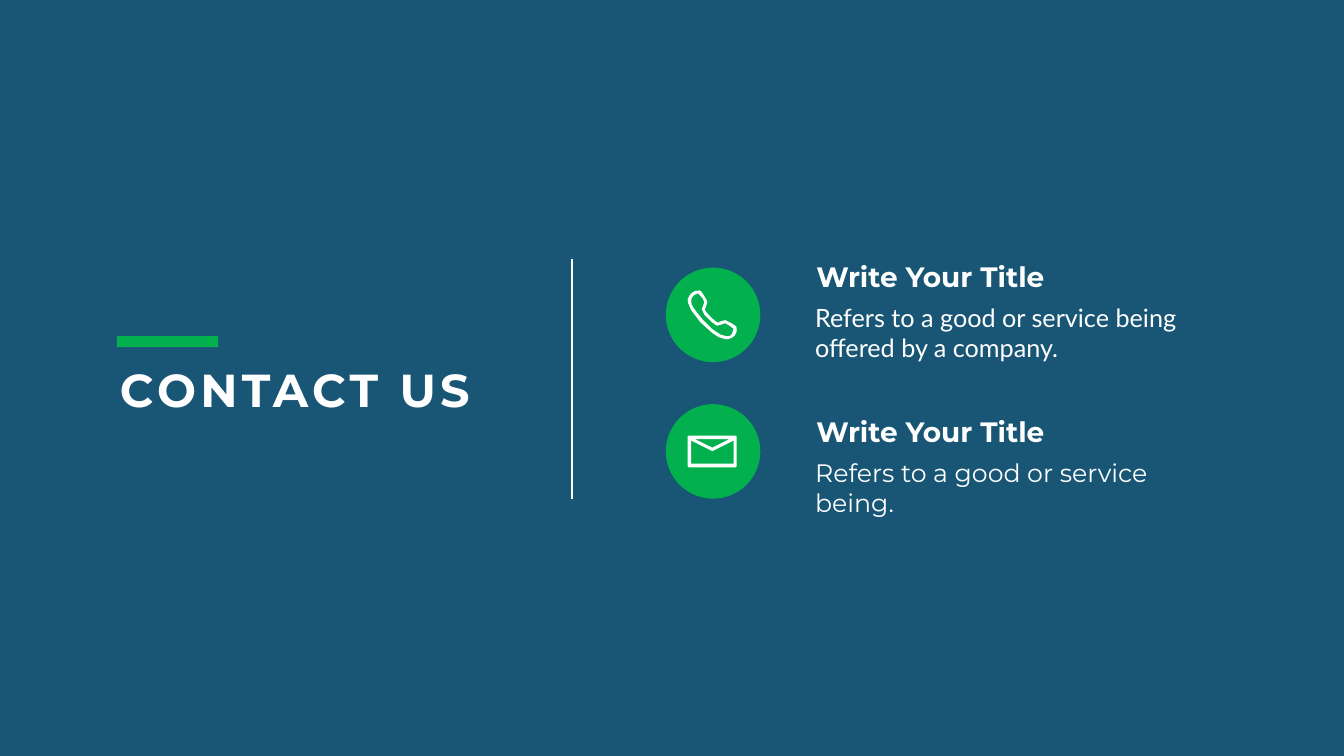
from lxml import etree
from pptx import Presentation
from pptx.dml.color import RGBColor
from pptx.enum import shapes, text
from pptx.oxml import ns
from pptx.util import Cm, Pt

COLORS = {"navy": "004467", "green": "03B04E", "white": "FFFFFF"}
HEADING_FONT = "Montserrat"

# Icon outlines: contours in units of 0.0254 cm
ICON_UNIT = Cm(0.0254)
PHONE = [
    [(77, 97), (62, 93), (51, 86), (45, 81), (25, 63), (13, 47), (7, 39), (1, 25),
     (0, 18), (3, 11), (8, 5), (15, 1), (24, 0), (27, 2), (33, 11), (38, 20),
     (39, 24), (36, 33), (34, 38), (37, 43), (45, 52), (54, 60), (60, 64), (66, 61),
     (75, 59), (87, 65), (96, 71), (97, 74), (97, 82), (93, 90), (86, 95)],
    [(21, 6), (17, 7), (12, 10), (8, 15), (7, 21), (8, 28), (12, 35), (18, 43),
     (30, 58), (48, 76), (55, 81), (66, 88), (78, 91), (84, 90), (88, 86), (91, 76),
     (83, 70), (74, 65), (69, 67), (59, 70), (55, 68), (47, 62), (33, 48), (28, 37),
     (31, 29), (33, 24), (30, 16), (22, 7)],
]
ENVELOPE = [
    [(2, 0), (95, 0), (97, 2), (97, 61), (95, 63), (2, 63), (0, 61), (0, 2)],
    [(7, 56), (7, 10), (49, 31), (91, 10), (91, 56)],
    [(49, 24), (14, 7), (83, 7)],
]


def color(name):
    return RGBColor.from_string(COLORS[name])


def paint(shape, fill):
    shape.shadow.inherit = False
    shape.fill.solid()
    shape.fill.fore_color.rgb = color(fill)
    shape.line.fill.background()
    return shape


def add_preset(slide, kind, box, fill):
    return paint(slide.shapes.add_shape(kind, *box), fill)


def write(shape, words, size, font=HEADING_FONT, bold=False, insets=(0.25, 0.13)):
    frame = shape.text_frame
    frame.word_wrap = True
    frame.auto_size = text.MSO_AUTO_SIZE.SHAPE_TO_FIT_TEXT
    frame.vertical_anchor = text.MSO_ANCHOR.TOP
    frame.margin_left = frame.margin_right = Cm(insets[0])
    frame.margin_top = frame.margin_bottom = Cm(insets[1])
    paragraph = frame.paragraphs[0]
    paragraph.alignment = text.PP_ALIGN.LEFT
    run = paragraph.add_run()
    run.text = words
    run.font.name = font
    run.font.size = Pt(size)
    run.font.bold = bold
    run.font.color.rgb = color("white")
    return run


def add_backdrop(slide, left, top, width, height):
    backdrop = add_preset(slide, shapes.MSO_SHAPE.RECTANGLE, (left, top, width, height), "navy")
    tint = backdrop.fill._xPr.find(".//" + ns.qn("a:srgbClr"))
    etree.SubElement(tint, ns.qn("a:alpha"), val="90000")
    # Send behind the title placeholder
    slide.shapes.title._element.addprevious(backdrop._element)


def add_heading(slide, left, top, width, height):
    add_preset(slide, shapes.MSO_SHAPE.RECTANGLE,
               (left + Cm(0.1), top, Cm(5.1), Cm(0.56)), "green")
    title = slide.shapes.title
    title.left, title.top = left, top + Cm(1.14)
    title.width, title.height = width, height - Cm(1.14)
    run = write(title, "CONTACT US", 66, bold=True)
    run.font._element.set("spc", "600")


def add_divider(slide, left, top, height):
    line = slide.shapes.add_connector(shapes.MSO_CONNECTOR.STRAIGHT,
                                      left, top, left, top + height)
    line.line.color.rgb = color("white")
    line.line.width = Pt(3)
    etree.SubElement(line._element.spPr, ns.qn("a:effectLst"))


def add_badge(slide, left, top, size, contours):
    add_preset(slide, shapes.MSO_SHAPE.OVAL, (left, top, size, size), "green")
    builder = slide.shapes.build_freeform(*contours[0][0], scale=ICON_UNIT)
    for number, contour in enumerate(contours):
        if number:
            builder.move_to(*contour[0])
        builder.add_line_segments(contour[1:], close=True)
    icon_height = max(y for _, y in contours[0]) * ICON_UNIT
    paint(builder.convert_to_shape(left + Cm(1.1), top + (size - icon_height) // 2), "white")


def add_contact_text(slide, left, top, width, heading, detail, detail_font):
    heading_height = Cm(1.96)
    box = slide.shapes.add_textbox(left + Cm(0.43), top, Cm(14.4), heading_height)
    write(box, heading, 40, bold=True)
    box = slide.shapes.add_textbox(left, top + heading_height, width, Cm(3.7))
    write(box, detail, 36, font=detail_font, insets=(0.61, 0.3))


def main():
    presentation = Presentation()
    presentation.slide_width, presentation.slide_height = Cm(67.72), Cm(38.1)
    slide = presentation.slides.add_slide(presentation.slide_layouts[5])

    add_backdrop(slide, Cm(-0.1), 0, Cm(67.82), Cm(38.1))
    add_heading(slide, Cm(5.79), Cm(16.94), Cm(19.18), Cm(4.21))
    add_divider(slide, Cm(28.8), Cm(13.06), Cm(12.09))

    # Contact rows
    contacts = [
        (PHONE, "Refers to a good or service being offered by a company.", "Lato"),
        (ENVELOPE, "Refers to a good or service being.", HEADING_FONT),
    ]
    for row, (icon, detail, font) in enumerate(contacts):
        add_badge(slide, Cm(33.55), Cm(13.49 + 6.88 * row), Cm(4.76), icon)
        add_contact_text(slide, Cm(40.46), Cm(12.96 + 7.81 * row), Cm(22.15),
                         "Write Your Title", detail, font)

    presentation.save("out.pptx")


if __name__ == "__main__":
    main()
